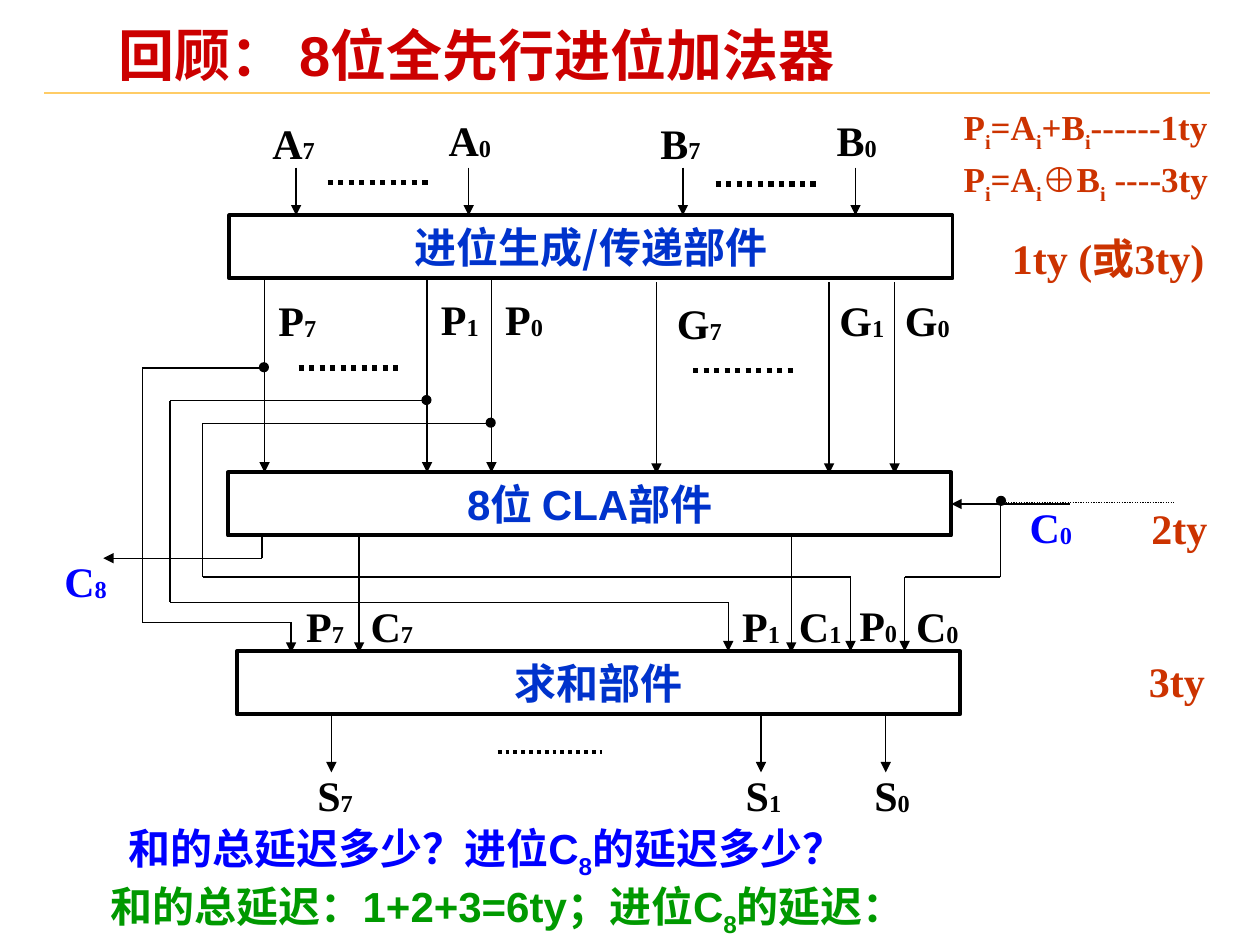
from typing import NamedTuple

from lxml import etree
from pptx import Presentation
from pptx import util as u
from pptx.dml.color import RGBColor
from pptx.enum import dml, shapes, text
from pptx.oxml.ns import qn

PX = 9144  # EMU per px, 100 px to the inch
BLACK, BLUE, BOX_BLUE = "000000", "0000FF", "0033CC"
RED, ORANGE, GREEN, GOLD = "CC0000", "CC3300", "009900", "FFCC66"
SERIF, SANS, CJK = "Times New Roman", "Arial", "Noto Sans CJK SC"
LEFT, CENTER = text.PP_ALIGN.LEFT, text.PP_ALIGN.CENTER
LOW, SUB = -2, -25  # baseline shifts in percent


class Run(NamedTuple):
    words: str
    shift: int = 0


class Style(NamedTuple):
    color: str
    font: str = SERIF
    size: int = 24
    align: int = CENTER


class Signal(NamedTuple):
    letter: str
    index: str
    x: int
    y: int
    color: str = BLACK


class Unit(NamedTuple):
    name: str
    x: int
    y: int
    font: str


class Wire(NamedTuple):
    points: list
    arrow: bool = True


def px(value: int) -> u.Emu:
    return u.Emu(value * PX)


def rgb(value: str) -> RGBColor:
    return RGBColor.from_string(value)


def write(paragraph, runs: list, style: Style) -> None:
    paragraph.alignment = style.align
    for part in runs:
        run = paragraph.add_run()
        run.text = part.words
        font = run.font
        font.size, font.bold, font.name = u.Pt(style.size), True, style.font
        font.color.rgb = rgb(style.color)
        props = font._element
        etree.SubElement(props, qn("a:ea")).set("typeface", CJK)
        if part.shift:
            props.set("baseline", str(part.shift * 1000))


def add_text(x: int, y: int, w: int, h: int, runs: list, style: Style):
    frame = slide.shapes.add_textbox(px(x), px(y), px(w), px(h)).text_frame
    frame.word_wrap = True
    write(frame.paragraphs[0], runs, style)
    return frame


def add_line(start: tuple, end: tuple, arrow: bool = False, width: float = 0.75,
             color: str = BLACK, dotted: bool = False):
    line = slide.shapes.add_connector(
        shapes.MSO_CONNECTOR.STRAIGHT, *(px(v) for v in (*start, *end)))
    line.line.width = u.Pt(width)
    line.line.color.rgb = rgb(color)
    if dotted:
        line.line.dash_style = dml.MSO_LINE.ROUND_DOT
    if arrow:
        etree.SubElement(line.line._get_or_add_ln(), qn("a:tailEnd")).set("type", "triangle")
    etree.SubElement(line._element.spPr, qn("a:effectLst"))
    return line


def add_wire(wire: Wire) -> None:
    last = len(wire.points) - 2
    for i, ends in enumerate(zip(wire.points, wire.points[1:])):
        add_line(*ends, arrow=wire.arrow and i == last)


def add_unit(unit: Unit):
    box = slide.shapes.add_shape(
        shapes.MSO_SHAPE.RECTANGLE, px(unit.x), px(unit.y), px(574), px(50))
    box.shadow.inherit = False
    box.fill.background()
    box.line.color.rgb = rgb(BLACK)
    box.line.width = u.Pt(2.25)
    box.text_frame.word_wrap = True
    write(box.text_frame.paragraphs[0], [Run(unit.name)], Style(BOX_BLUE, unit.font))
    return box


def add_junction(x: int, y: int) -> None:
    dot = slide.shapes.add_shape(
        shapes.MSO_SHAPE.OVAL, px(x - 4), px(y - 4), px(7), px(7))
    dot.shadow.inherit = False
    dot.fill.solid()
    dot.fill.fore_color.rgb = rgb(BLACK)
    dot.line.color.rgb = rgb(BLACK)
    dot.line.width = u.Pt(0.75)


prs = Presentation()
prs.slide_width, prs.slide_height = px(1000), px(750)
slide = prs.slides.add_slide(prs.slide_layouts[5])

# Title and rule
add_line((35, 74), (960, 74), width=1, color=GOLD)
title = slide.shapes.title
title.left, title.top, title.width, title.height = px(87), px(21), px(664), px(52)
heading = title.text_frame
heading.auto_size = text.MSO_AUTO_SIZE.NONE
heading.margin_left = heading.margin_right = px(7)
heading.margin_top = heading.margin_bottom = px(3)
heading.paragraphs[0].line_spacing = 0.87
write(heading.paragraphs[0], [Run("回顾： 8位全先行进位加法器")], Style(RED, SANS, 32, LEFT))

# Three units of the adder
generator, lookahead, adder = [add_unit(unit) for unit in (
    Unit("进位生成/传递部件", 182, 171, CJK),
    Unit("8位 CLA部件", 181, 375, SANS),
    Unit("求和部件", 188, 517, CJK),
)]

# Straight arrows: (columns, from y, to y)
for columns, top, bottom in (
    ((235, 372, 542, 679), 133, 171),
    ((210, 339, 390), 222, 375),
    ((521, 658, 710), 224, 376),
    ((285, 628), 426, 518),
    ((263, 604, 703), 568, 613),
):
    for x in columns:
        add_line((x, top), (x, bottom), arrow=True)

# Bent wires: P7, P1 and P0 run round to the adder, C0 drops, C8 leaves
for wire in (
    Wire([(210, 292), (113, 292), (113, 494), (231, 494), (231, 518)]),
    Wire([(339, 318), (135, 318), (135, 478), (578, 478), (578, 517)]),
    Wire([(390, 336), (161, 336), (161, 458), (675, 458), (675, 517)]),
    Wire([(794, 399), (794, 458), (718, 458), (718, 517)]),
    Wire([(208, 426), (208, 443), (82, 443)]),
):
    add_wire(wire)

# Carry input
carry_in = add_line((849, 400), (755, 400), arrow=True)
carry_in.end_connect(lookahead, 3)
add_line((792, 399), (932, 399), dotted=True)
for x, y in ((210, 292), (339, 318), (390, 336), (795, 398)):
    add_junction(x, y)

# Dotted rows for the omitted bits
for x, y, width in ((260, 145, 3), (568, 146, 3), (237, 292, 3), (550, 294, 3), (395, 597, 2.25)):
    add_line((x, y), (x + 83, y), width=width, dotted=True)

# Signal names
for signal in (
    Signal("A", "7", 203, 88), Signal("A", "0", 343, 86),
    Signal("B", "7", 510, 88), Signal("B", "0", 650, 86),
    Signal("P", "7", 206, 229), Signal("P", "1", 335, 228), Signal("P", "0", 386, 228),
    Signal("G", "7", 525, 231), Signal("G", "1", 654, 229), Signal("G", "0", 706, 229),
    Signal("P", "7", 228, 472), Signal("C", "7", 281, 472),
    Signal("P", "1", 574, 472), Signal("C", "1", 621, 472),
    Signal("P", "0", 667, 471), Signal("C", "0", 714, 472),
    Signal("C", "0", 804, 393, BLUE), Signal("C", "8", 38, 436, BLUE),
    Signal("S", "7", 236, 606), Signal("S", "1", 576, 606), Signal("S", "0", 678, 606),
):
    add_text(signal.x, signal.y, 60, 50,
             [Run(signal.letter), Run(signal.index, LOW)], Style(signal.color))

# Delay of each stage
for delay, x, y, w, h in (
    ("1ty (或3ty)", 786, 180, 187, 90), ("2ty", 902, 394, 68, 50), ("3ty", 900, 515, 68, 50),
):
    add_text(x, y, w, h, [Run(delay)], Style(ORANGE))

# Question and answer
for x, y, color, before, after in (
    (92, 648, BLUE, "和的总延迟多少？进位C", "的延迟多少？"),
    (78, 694, GREEN, "和的总延迟：1+2+3=6ty；进位C", "的延迟："),
):
    add_text(x, y, 782, 56, [Run(before), Run("8", SUB), Run(after)],
             Style(color, SANS, 24, LEFT))

# Propagate formulas
formula_style = Style(ORANGE, SERIF, 20, LEFT)
formulas = add_text(755, 79, 230, 88, [], formula_style)
second = formulas.add_paragraph()
second.space_before = u.Pt(3.7)
for paragraph, operator, cost in (
    (formulas.paragraphs[0], "+B", "------1ty"), (second, "⊕B", " ----3ty"),
):
    paragraph.line_spacing = 0.95
    write(paragraph, [Run("P"), Run("i", SUB), Run("=A"), Run("i", SUB),
                      Run(operator), Run("i", SUB), Run(cost)], formula_style)

prs.save("out.pptx")
